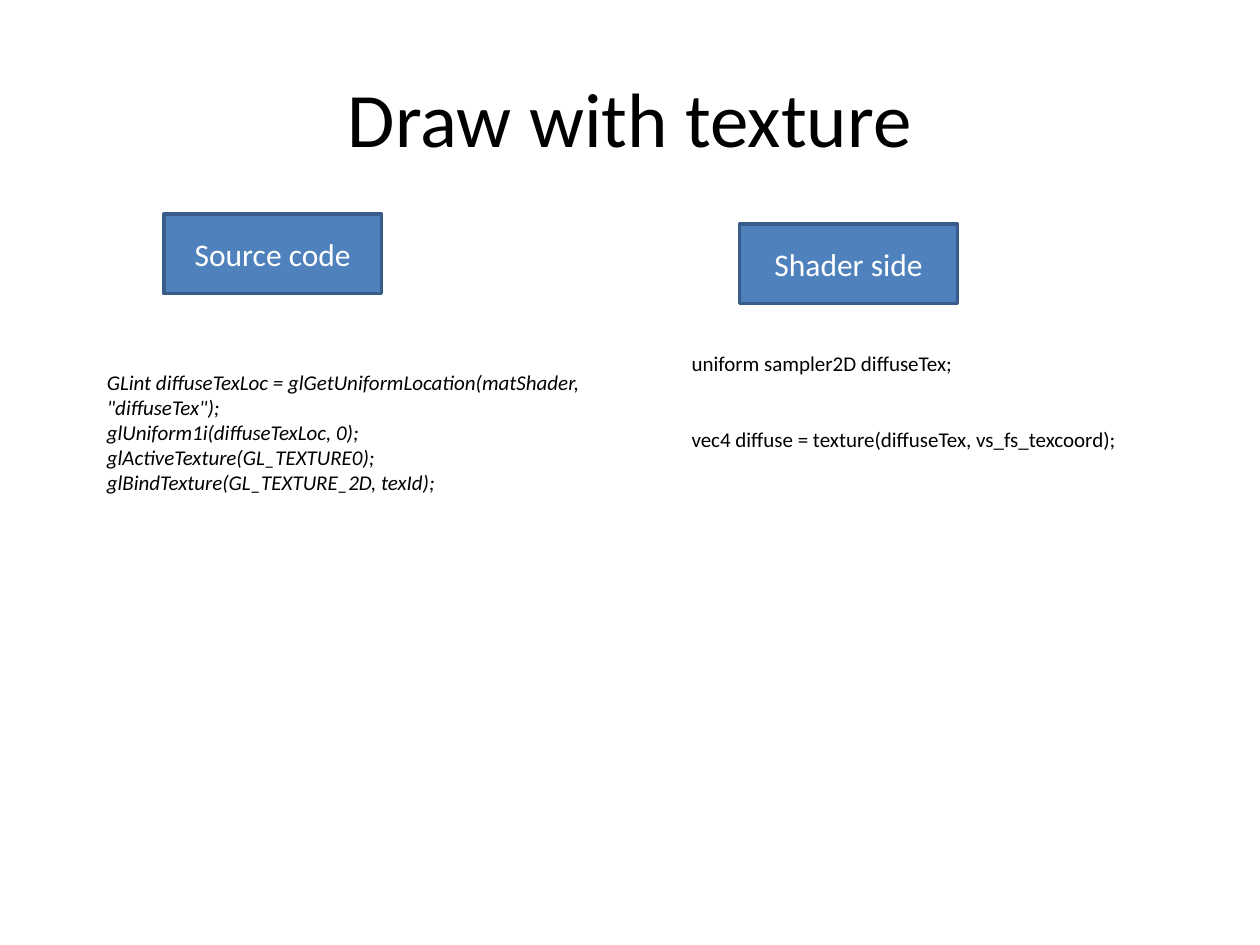
from pptx import Presentation
from pptx.dml.color import RGBColor
from pptx.enum.shapes import MSO_SHAPE
from pptx.enum.text import MSO_ANCHOR, PP_ALIGN
from pptx.util import Inches, Pt

FONT = "Calibri"
SOURCE_LINES = [
    'GLint diffuseTexLoc = glGetUniformLocation(matShader, "diffuseTex");',
    "glUniform1i(diffuseTexLoc, 0);",
    "glActiveTexture(GL_TEXTURE0);",
    "glBindTexture(GL_TEXTURE_2D, texId);",
]
SHADER_LINES = [
    "uniform sampler2D diffuseTex;",
    "vec4 diffuse = texture(diffuseTex, vs_fs_texcoord);",
]


def color(value):
    return RGBColor.from_string(value)


def add_run(paragraph, text, size, hex_color="000000", italic=False):
    run = paragraph.add_run()
    run.text = text
    run.font.name = FONT
    run.font.size = Pt(size)
    run.font.italic = italic
    run.font.color.rgb = color(hex_color)


def place_title(slide, box, text):
    title = slide.shapes.title
    title.left, title.top, title.width, title.height = map(Inches, box)
    title.text_frame.vertical_anchor = MSO_ANCHOR.MIDDLE
    paragraph = title.text_frame.paragraphs[0]
    paragraph.alignment = PP_ALIGN.CENTER
    add_run(paragraph, text, 44)


def add_label(slide, box, text):
    shape = slide.shapes.add_shape(MSO_SHAPE.RECTANGLE, *map(Inches, box))
    shape.shadow.inherit = False
    shape.fill.solid()
    shape.fill.fore_color.rgb = color("4F81BD")
    shape.line.color.rgb = color("385D8A")
    shape.line.width = Pt(2)
    shape.text_frame.vertical_anchor = MSO_ANCHOR.MIDDLE
    paragraph = shape.text_frame.paragraphs[0]
    paragraph.alignment = PP_ALIGN.CENTER
    add_run(paragraph, text, 18, "FFFFFF")


def add_code(slide, box, lines, italic=False, gap=0):
    text_frame = slide.shapes.add_textbox(*map(Inches, box)).text_frame
    text_frame.word_wrap = True
    for index, line in enumerate(lines):
        paragraph = text_frame.add_paragraph() if index else text_frame.paragraphs[0]
        paragraph.space_before = Pt(gap if index else 0)
        add_run(paragraph, line, 12, italic=italic)


def add_column(slide, box, heading, label_offset, lines, italic=False, gap=0):
    left, top, width, height = box
    offset_x, offset_y = label_offset
    add_code(slide, (left, top + offset_y, width, height), lines, italic, gap)
    add_label(slide, (left + offset_x, top, 1.73, 0.63), heading)


def main():
    presentation = Presentation()
    presentation.slide_width = Inches(10)
    presentation.slide_height = Inches(7.5)
    slide = presentation.slides.add_slide(presentation.slide_layouts[5])
    place_title(slide, (0.5, 0.3, 9, 1.25), "Draw with texture")
    add_column(slide, (0.75, 1.7, 4.17, 3.15), "Source code", (0.55, 1.18),
               SOURCE_LINES, italic=True)
    add_column(slide, (5.39, 1.78, 3.94, 3.15), "Shader side", (0.48, 0.95),
               SHADER_LINES, gap=29)
    presentation.save("out.pptx")


if __name__ == "__main__":
    main()
